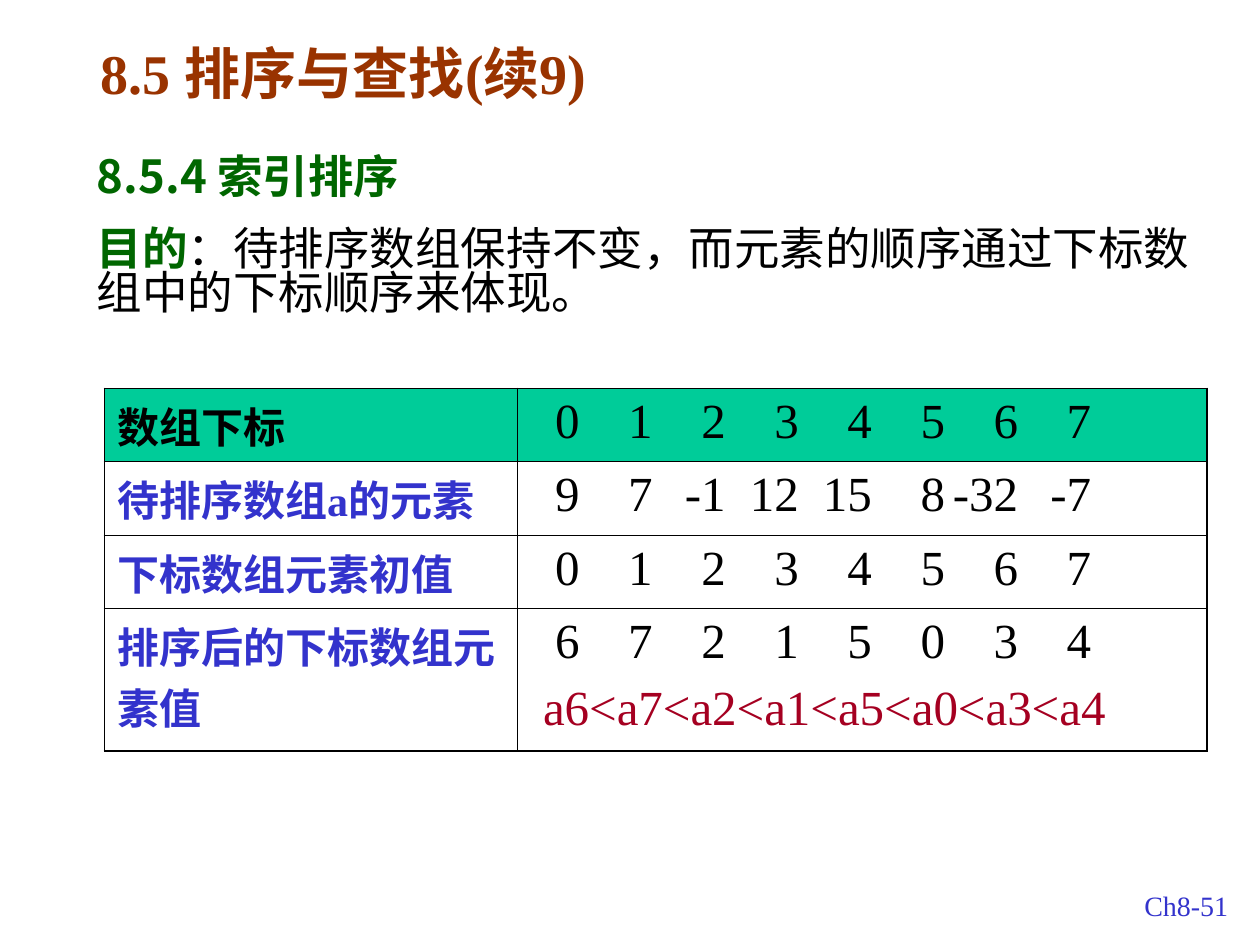
import pptx
import pptx.dml.color
import pptx.enum.text
import pptx.oxml.ns
import pptx.util
from lxml import etree

Inches, Pt = pptx.util.Inches, pptx.util.Pt
RGBColor = pptx.dml.color.RGBColor
PP_ALIGN = pptx.enum.text.PP_ALIGN
qn = pptx.oxml.ns.qn

BLACK = RGBColor(0x00, 0x00, 0x00)
BLUE = RGBColor(0x33, 0x33, 0xCC)
GREEN = RGBColor(0x00, 0x66, 0x00)
BROWN = RGBColor(0x99, 0x33, 0x00)
RED = RGBColor(0xA5, 0x00, 0x21)
TEAL = RGBColor(0x00, 0xCC, 0x99)
SERIF, CHINESE = "Times New Roman", "Noto Sans CJK SC"

TITLE = "8.5 排序与查找(续9)"
HEADING = "8.5.4 索引排序"
PURPOSE = ("目的", "：待排序数组保持不变，而元素的顺序通过下标数组中的下标顺序来体现。")
PAGE_NUMBER = "Ch8-51"
ROWS = [
    ("数组下标", [0, 1, 2, 3, 4, 5, 6, 7]),
    ("待排序数组a的元素", [9, 7, -1, 12, 15, 8, -32, -7]),
    ("下标数组元素初值", [0, 1, 2, 3, 4, 5, 6, 7]),
    ("排序后的下标数组元素值", [6, 7, 2, 1, 5, 0, 3, 4]),
]
SORTED_ORDER = "a6<a7<a2<a1<a5<a0<a3<a4"

COLUMN_WIDTHS = (3.28, 5.47)
ROW_HEIGHTS = (0.57, 0.57, 0.57, 1.13)
FIRST_TAB, TAB_STEP = 0.39, 0.58
THIN, THICK = 0.45, 1.08


def format_span(span, size, color, bold=False, latin=SERIF):
    span.font.size = Pt(size)
    span.font.bold = bold
    span.font.color.rgb = color
    span.font.name = latin
    east_asian = etree.SubElement(span.font._element, qn("a:ea"))
    east_asian.set("typeface", CHINESE)


def write(para, text, space_before, *style, **options):
    """Add one formatted run to a left-aligned paragraph."""
    para.alignment = PP_ALIGN.LEFT
    para.space_before = Pt(space_before)
    span = para.add_run()
    span.text = text
    format_span(span, *style, **options)


def prepare(box, left, top, width, height):
    box.left, box.top = Inches(left), Inches(top)
    box.width, box.height = Inches(width), Inches(height)
    frame = box.text_frame
    frame.word_wrap = True
    frame.auto_size = pptx.enum.text.MSO_AUTO_SIZE.NONE
    frame.vertical_anchor = pptx.enum.text.MSO_ANCHOR.MIDDLE
    return frame


def add_number_tabs(para, count):
    """Right-aligned stops, so that the numbers line up on their last digit."""
    tabs = etree.SubElement(para._p.get_or_add_pPr(), qn("a:tabLst"))
    for index in range(count):
        position = Inches(FIRST_TAB + index * TAB_STEP)
        etree.SubElement(tabs, qn("a:tab"), pos=str(position), algn="r")


def set_borders(cell, **widths):
    properties = cell._tc.get_or_add_tcPr()
    for side in "LRTB":
        line = etree.SubElement(properties, qn("a:ln" + side), w=str(Pt(widths[side])))
        fill = etree.SubElement(line, qn("a:solidFill"))
        etree.SubElement(fill, qn("a:srgbClr"), val=str(BLACK))


def add_text(page):
    frame = prepare(page.shapes.title, 0.7, 0.25, 8.42, 0.64)
    write(frame.paragraphs[0], TITLE, 20, 32, BROWN, True)

    frame = prepare(page.shapes.add_textbox(0, 0, 0, 0), 0.67, 1.08, 9, 1.63)
    heading, purpose = frame.paragraphs[0], frame.add_paragraph()
    write(heading, HEADING, 16.2, 26, GREEN, True, latin=CHINESE)
    for text, color, bold in zip(PURPOSE, (GREEN, BLACK), (True, False)):
        write(purpose, text, 16.2, 26, color, bold, latin=CHINESE)
    for para in frame.paragraphs:
        para.line_spacing = 0.8

    frame = prepare(page.shapes.add_textbox(0, 0, 0, 0), 8.83, 7, 1.17, 0.37)
    write(frame.paragraphs[0], PAGE_NUMBER, 10, 16, BLUE)
    frame.paragraphs[0].alignment = PP_ALIGN.CENTER


def add_index_table(page):
    table = page.shapes.add_table(
        len(ROWS), 2, Inches(0.83), Inches(3.08),
        Inches(sum(COLUMN_WIDTHS)), Inches(sum(ROW_HEIGHTS))).table
    table.first_row = table.horz_banding = False
    for column, width in zip(table.columns, COLUMN_WIDTHS):
        column.width = Inches(width)

    last = len(ROWS) - 1
    for index, (label, numbers) in enumerate(ROWS):
        table.rows[index].height = Inches(ROW_HEIGHTS[index])
        label_cell, number_cell = table.cell(index, 0), table.cell(index, 1)
        bottom = THICK if index == last else THIN
        set_borders(label_cell, L=THICK, R=THIN, T=THIN, B=bottom)
        set_borders(number_cell, L=THIN, R=THICK, T=THIN, B=bottom)
        for cell in (label_cell, number_cell):
            if index == 0:
                cell.fill.solid()
                cell.fill.fore_color.rgb = TEAL
            else:
                cell.fill.background()

        write(label_cell.text_frame.paragraphs[0], label, 6, 24,
              BLUE if index else BLACK, True)
        para = number_cell.text_frame.paragraphs[0]
        write(para, "".join(f"\t{number}" for number in numbers), 7, 28, BLACK)
        add_number_tabs(para, len(numbers))

    para = table.cell(last, 1).text_frame.add_paragraph()
    write(para, SORTED_ORDER, 7, 28, RED)
    para._p.get_or_add_pPr().set("marL", str(Inches(0.1)))


def main():
    deck = pptx.Presentation()
    deck.slide_width, deck.slide_height = Inches(10), Inches(7.5)
    page = deck.slides.add_slide(deck.slide_layouts[5])
    add_text(page)
    add_index_table(page)
    deck.save("out.pptx")


if __name__ == "__main__":
    main()
